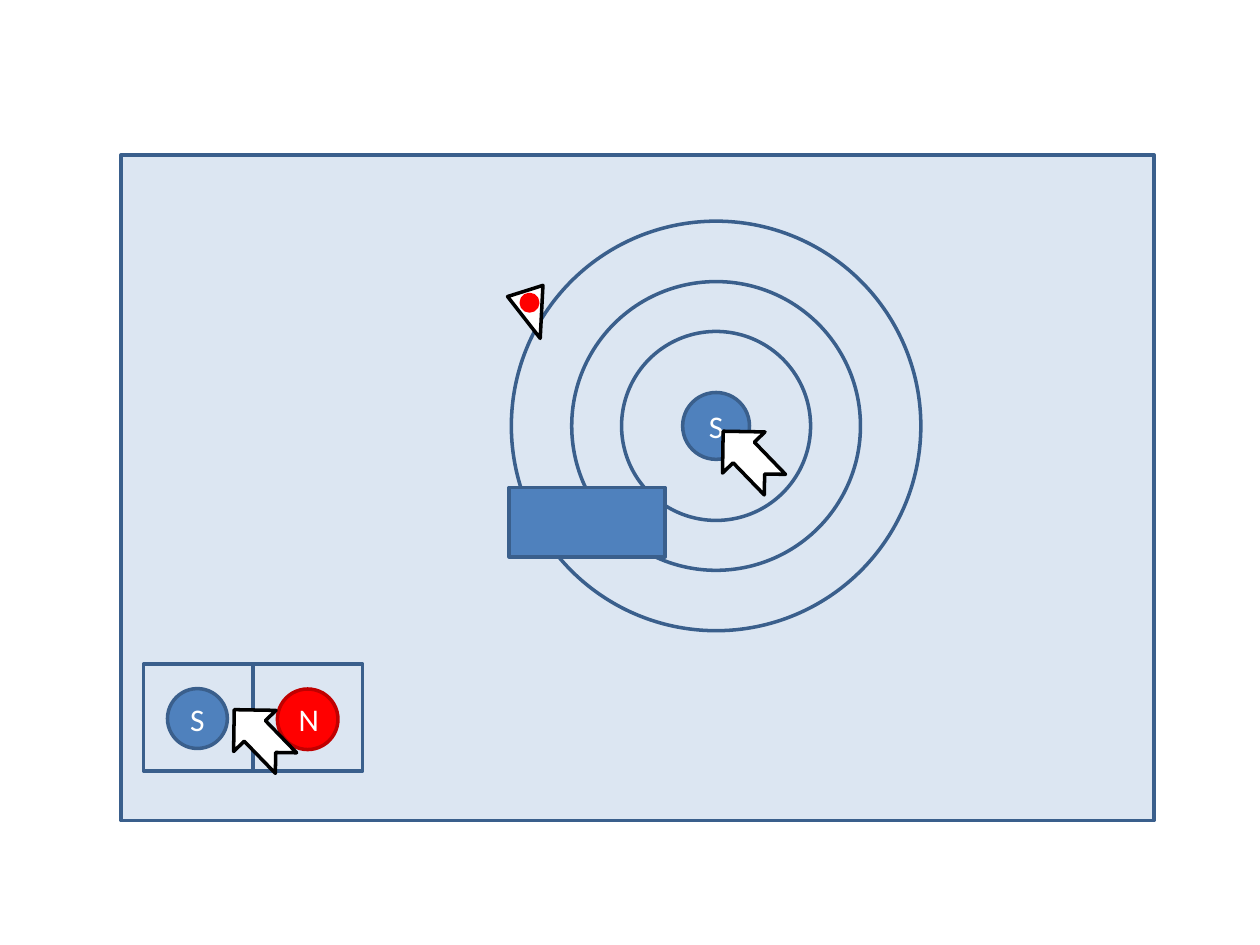
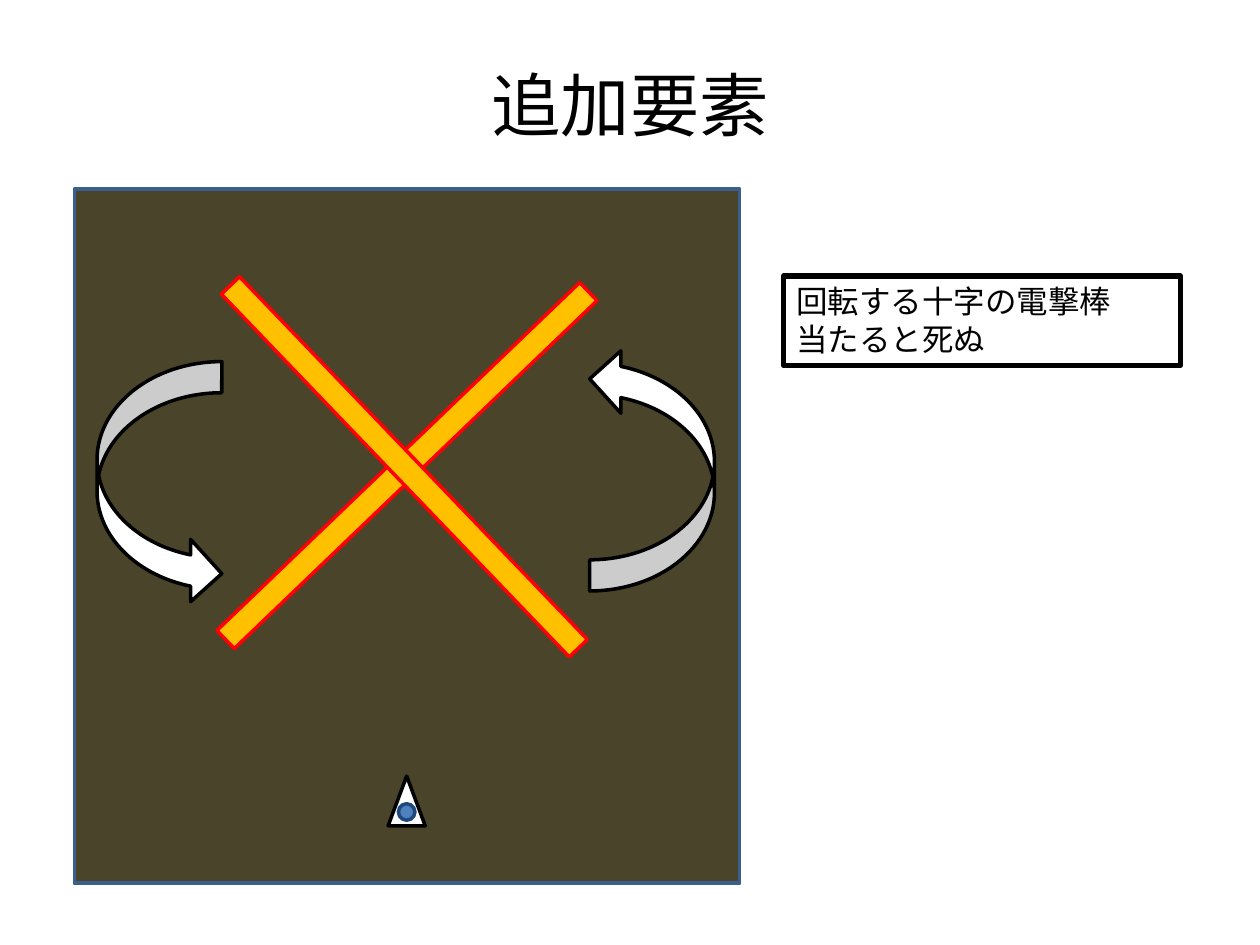
from pptx import Presentation
from pptx.dml.color import RGBColor
from pptx.enum.shapes import MSO_SHAPE
from pptx.enum.text import MSO_ANCHOR, PP_ALIGN
from pptx.util import Pt

WHITE = RGBColor(0xFF, 0xFF, 0xFF)
BLACK = RGBColor(0x00, 0x00, 0x00)
PALE_BLUE = RGBColor(0xDC, 0xE6, 0xF2)
BLUE = RGBColor(0x4F, 0x81, 0xBD)
EDGE_BLUE = RGBColor(0x3A, 0x5F, 0x8C)
NAVY = RGBColor(0x1F, 0x49, 0x7D)
RED = RGBColor(0xFF, 0x00, 0x00)
DARK_RED = RGBColor(0xC0, 0x00, 0x00)
OLIVE = RGBColor(0x4A, 0x45, 0x2A)
AMBER = RGBColor(0xFF, 0xC0, 0x00)

BLANK_LAYOUT, TITLE_LAYOUT = 6, 5


class Sketch:
    """Draws the game sketches; all lengths are in points."""
    font = "Calibri"
    text_size = 18
    title_size = 39.6
    line_width = 2

    def __init__(self):
        self.deck = Presentation()
        self.deck.slide_width, self.deck.slide_height = Pt(720), Pt(540)
        self.slide = None

    def new_slide(self, layout):
        self.slide = self.deck.slides.add_slide(self.deck.slide_layouts[layout])

    def style_text(self, frame, size, color, align):
        for paragraph in frame.paragraphs:
            paragraph.alignment = align
            paragraph.font.name = self.font
            paragraph.font.size = Pt(size)
            paragraph.font.color.rgb = color

    def title(self, text):
        heading = self.slide.shapes.title
        heading.left, heading.top = Pt(36), Pt(37.4)
        heading.width, heading.height = Pt(648), Pt(44)
        heading.text_frame.text = text
        heading.text_frame.vertical_anchor = MSO_ANCHOR.MIDDLE
        self.style_text(heading.text_frame, self.title_size, BLACK, PP_ALIGN.CENTER)

    def shape(self, kind, left, top, width, height, fill, line, rotation=0, flip=False):
        drawn = self.slide.shapes.add_shape(kind, Pt(left), Pt(top), Pt(width), Pt(height))
        drawn.shadow.inherit = False
        drawn.rotation = rotation
        if flip:
            drawn._element.spPr.xfrm.set("flipV", "1")
        if fill is None:
            drawn.fill.background()
        else:
            drawn.fill.solid()
            drawn.fill.fore_color.rgb = fill
        drawn.line.color.rgb = line
        drawn.line.width = Pt(self.line_width)
        return drawn

    def box(self, left, top, width, height, fill, line=EDGE_BLUE, rotation=0):
        return self.shape(MSO_SHAPE.RECTANGLE, left, top, width, height, fill, line, rotation)

    def circle(self, center_x, center_y, size, fill, line=EDGE_BLUE, label=None):
        disc = self.shape(MSO_SHAPE.OVAL, center_x - size / 2, center_y - size / 2,
                          size, size, fill, line)
        if label:
            frame = disc.text_frame
            frame.text = label
            frame.vertical_anchor = MSO_ANCHOR.MIDDLE
            self.style_text(frame, self.text_size, WHITE, PP_ALIGN.CENTER)

    def cursor(self, left, top):
        self.shape(MSO_SHAPE.NOTCHED_RIGHT_ARROW, left, top, 42.5, 33.8,
                   WHITE, BLACK, rotation=225.9)

    def ship(self, left, top, core_x, core_y, core_fill, core_line, rotation=0):
        self.shape(MSO_SHAPE.ISOSCELES_TRIANGLE, left, top, 21.2, 28.4,
                   WHITE, BLACK, rotation)
        self.circle(core_x, core_y, 9.4, core_fill, core_line)

    def spin_arrow(self, left, top, rotation):
        self.shape(MSO_SHAPE.CURVED_DOWN_ARROW, left, top, 139, 71.3,
                   WHITE, BLACK, rotation, flip=True)

    def note(self, text, left, top, width, height):
        label = self.slide.shapes.add_textbox(Pt(left), Pt(top), Pt(width), Pt(height))
        label.line.color.rgb = BLACK
        label.line.width = Pt(3)
        label.text_frame.word_wrap = True
        label.text_frame.text = text
        self.style_text(label.text_frame, self.text_size, BLACK, PP_ALIGN.LEFT)


sketch = Sketch()

# Slide 1: playing field with a magnet and its field rings
sketch.new_slide(BLANK_LAYOUT)
sketch.box(69.1, 88.6, 590.4, 380.2, PALE_BLUE)
magnet_x, magnet_y = 409.2, 243.4
for ring_size in (234, 165, 108):
    sketch.circle(magnet_x, magnet_y, ring_size, PALE_BLUE)
sketch.circle(magnet_x, magnet_y, 38.2, BLUE, label="S")

# Magnet palette, with a cursor at the palette and at the placed magnet
cell_left, cell_top, cell_width, cell_height = 82.1, 379.4, 62.6, 61.2
for column in (1, 0):
    sketch.box(cell_left + column * cell_width, cell_top, cell_width, cell_height, None)
sketch.circle(112.8, 410.6, 34.2, BLUE, label="S")
sketch.cursor(406.8, 244.8)
sketch.circle(175.8, 411, 34.6, RED, DARK_RED, label="N")
sketch.cursor(127.4, 403.9)

# Ship and obstacle
sketch.ship(293.8, 165.6, 302.6, 173, RED, RED, rotation=162.5)
sketch.box(290.9, 278.6, 89.3, 39.6, BLUE)

# Slide 2: rotating cross hazard
sketch.new_slide(TITLE_LAYOUT)
sketch.title("追加要素")
sketch.note("回転する十字の電撃棒\n当たると死ぬ", 447.8, 157.7, 226.8, 51)
sketch.box(42.5, 108, 380.2, 396.7, OLIVE)
sketch.ship(221.8, 443.5, 232.4, 464, BLUE, NAVY)

# Crossed rods and the arrows showing their spin
for rod_left, rod_top, angle in ((225.4, 122.4, 46.2), (223.9, 123.1, 316.2)):
    sketch.box(rod_left, rod_top, 14.4, 287.3, AMBER, RED, angle)
sketch.spin_arrow(21.6, 240.5, 90)
sketch.spin_arrow(303.1, 232.6, 270)

sketch.deck.save("out.pptx")
